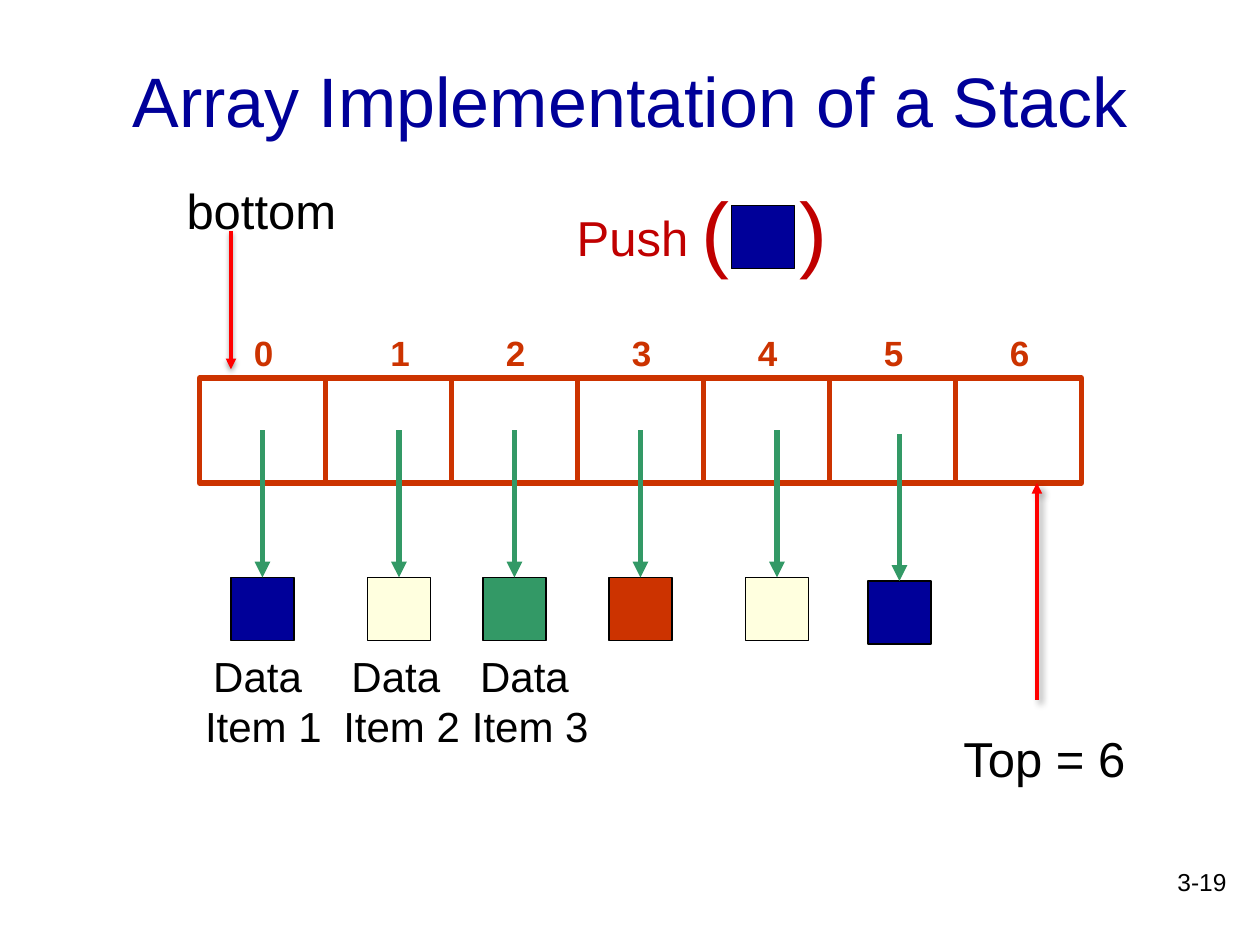
from dataclasses import dataclass
from typing import Optional

import lxml.etree
import pptx
import pptx.dml.color
import pptx.enum.shapes
import pptx.enum.text
import pptx.oxml.ns
import pptx.util

Pt = pptx.util.Pt
Align = pptx.enum.text.PP_ALIGN
qualified = pptx.oxml.ns.qn


@dataclass(frozen=True)
class Theme:
    font: str = "Arial"
    black: str = "000000"
    navy: str = "000099"
    cream: str = "FFFFDF"
    green: str = "339966"
    rust: str = "CC3300"
    red: str = "FF0000"
    crimson: str = "C00000"
    title_size: int = 40
    parenthesis_size: int = 48
    label_size: int = 28
    item_size: int = 24
    index_size: int = 20
    number_size: int = 14


THEME = Theme()


@dataclass(frozen=True)
class Box:
    left: float
    top: float
    width: float
    height: float
    line: str
    weight: float
    fill: Optional[str] = None


@dataclass(frozen=True)
class Label:
    text: str
    left: float
    top: float
    width: float
    height: float
    size: int
    color: str = THEME.black
    bold: bool = False
    align: Align = Align.LEFT
    tab: Optional[float] = None


@dataclass(frozen=True)
class Shadow:
    blur: float
    distance: float
    degrees: int
    opacity: int


@dataclass(frozen=True)
class Arrow:
    x: float
    start: float
    end: float
    color: str
    weight: float
    shadow: Optional[Shadow] = None


@dataclass(frozen=True)
class Item:
    left: float
    color: str
    drop: float = 0


def rgb(color: str) -> pptx.dml.color.RGBColor:
    return pptx.dml.color.RGBColor.from_string(color)


def format_text(text_frame, size: int, color: str, bold: bool, align: Align) -> None:
    for paragraph in text_frame.paragraphs:
        paragraph.alignment = align
        for run in paragraph.runs:
            run.font.name = THEME.font
            run.font.size = Pt(size)
            run.font.bold = bold
            run.font.color.rgb = rgb(color)


def draw_box(slide, box: Box) -> None:
    shape = slide.shapes.add_shape(
        pptx.enum.shapes.MSO_SHAPE.RECTANGLE,
        Pt(box.left), Pt(box.top), Pt(box.width), Pt(box.height),
    )
    shape.shadow.inherit = False
    shape.line.color.rgb = rgb(box.line)
    shape.line.width = Pt(box.weight)
    if box.fill:
        shape.fill.solid()
        shape.fill.fore_color.rgb = rgb(box.fill)
    else:
        shape.fill.background()


def draw_label(slide, label: Label) -> None:
    shape = slide.shapes.add_textbox(
        Pt(label.left), Pt(label.top), Pt(label.width), Pt(label.height)
    )
    text_frame = shape.text_frame
    text_frame.word_wrap = True
    text_frame.text = label.text
    if label.tab:
        properties = text_frame.paragraphs[0]._p.get_or_add_pPr()
        tabs = lxml.etree.SubElement(properties, qualified("a:tabLst"))
        lxml.etree.SubElement(tabs, qualified("a:tab"), pos=str(Pt(label.tab)), algn="l")
    format_text(text_frame, label.size, label.color, label.bold, label.align)


def draw_arrow(slide, arrow: Arrow) -> None:
    connector = slide.shapes.add_connector(
        pptx.enum.shapes.MSO_CONNECTOR.STRAIGHT,
        Pt(arrow.x), Pt(arrow.start), Pt(arrow.x), Pt(arrow.end),
    )
    connector.line.color.rgb = rgb(arrow.color)
    connector.line.width = Pt(arrow.weight)
    lxml.etree.SubElement(connector.line._ln, qualified("a:tailEnd"), type="triangle")
    effects = lxml.etree.SubElement(connector._element.spPr, qualified("a:effectLst"))
    if arrow.shadow:
        outer = lxml.etree.SubElement(
            effects, qualified("a:outerShdw"),
            blurRad=str(Pt(arrow.shadow.blur)), dist=str(Pt(arrow.shadow.distance)),
            dir=str(arrow.shadow.degrees * 60000), rotWithShape="0",
        )
        color = lxml.etree.SubElement(outer, qualified("a:srgbClr"), val=THEME.black)
        lxml.etree.SubElement(color, qualified("a:alpha"), val=str(arrow.shadow.opacity * 1000))


def draw_title(slide, text: str) -> None:
    title = slide.shapes.title
    title.left, title.top, title.width, title.height = Pt(54), Pt(12), Pt(612), Pt(90)
    title.text_frame.text = text
    title.text_frame.vertical_anchor = pptx.enum.text.MSO_ANCHOR.MIDDLE
    format_text(title.text_frame, THEME.title_size, THEME.navy, False, Align.CENTER)


def main() -> None:
    presentation = pptx.Presentation()
    presentation.slide_width, presentation.slide_height = Pt(720), Pt(540)
    slide = presentation.slides.add_slide(presentation.slide_layouts[5])
    draw_title(slide, "Array Implementation of a Stack")

    side = 36
    items = (
        Item(132, THEME.navy),
        Item(210, THEME.cream),
        Item(276, THEME.green),
        Item(348, THEME.rust),
        Item(426, THEME.cream),
        Item(496, THEME.navy, drop=2),
    )
    for index in range(7):
        draw_box(slide, Box(114 + 72 * index, 216, 72, 60, THEME.rust, 3))
    for item in items:
        top = 330 + item.drop
        draw_box(slide, Box(item.left, top, side, side, THEME.black, 0.75, item.color))
        draw_arrow(slide, Arrow(item.left + side / 2, 246 + item.drop, top, THEME.green, 3))

    for index, left in enumerate((138, 216, 282, 354, 426, 498, 570)):
        draw_label(slide, Label(str(index), left, 186, 30, 31, THEME.index_size, THEME.rust, True))
    for number, left in enumerate((109.5, 188.5, 262), start=1):
        draw_label(slide, Label(f"Data \nItem {number}", left, 368, 82, 65.5,
                                THEME.item_size, align=Align.CENTER))

    for label in (
        Label("bottom", 99.5, 99.5, 101.5, 41, THEME.label_size),
        Label("Top = 6", 543.5, 412.5, 108, 41, THEME.label_size),
        Label("Push", 322.5, 115, 86.5, 41, THEME.label_size, THEME.crimson),
        Label("(\t)", 394, 98.5, 101, 65.5, THEME.parenthesis_size, THEME.crimson, tab=56),
        Label("3-19", 558, 492, 150, 36, THEME.number_size, align=Align.RIGHT),
    ):
        draw_label(slide, label)

    draw_box(slide, Box(418, 117.5, side, side, THEME.black, 0.75, THEME.navy))
    draw_arrow(slide, Arrow(132, 132, 211, THEME.red, 2, Shadow(3.1, 1.6, 90, 38)))
    draw_arrow(slide, Arrow(592.5, 400, 276, THEME.red, 2, Shadow(4, 3, 45, 40)))
    presentation.save("out.pptx")


if __name__ == "__main__":
    main()
